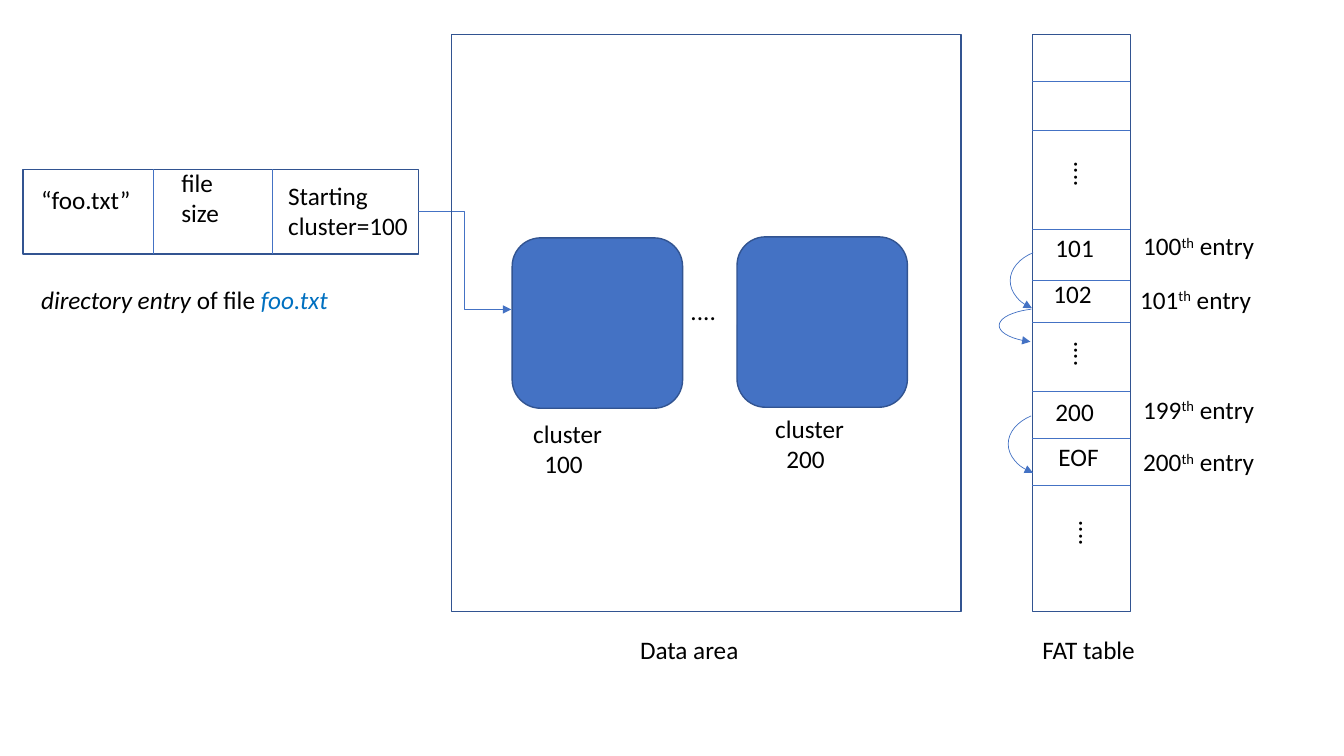
from dataclasses import dataclass

from lxml.etree import SubElement
from pptx import Presentation
from pptx.dml.color import RGBColor
from pptx.enum.shapes import MSO_CONNECTOR as Link, MSO_SHAPE as Preset
from pptx.oxml.ns import qn
from pptx.util import Inches, Pt

BLUE, EDGE, BLACK, LINK_BLUE = "4472C4", "325491", "000000", "0070C0"
THIN, THICK = 0.5, 1.0


@dataclass(frozen=True)
class Piece:
    """A stretch of text in one format."""
    text: str
    color: str = BLACK
    italic: bool = False
    raised: bool = False


@dataclass(frozen=True)
class Label:
    """A text box; each line is a list of pieces."""
    left: float
    top: float
    width: float
    height: float
    lines: list[list[Piece]]
    rotation: float = 0
    last_indent: float = 0


@dataclass(frozen=True)
class Arc:
    """A chain arrow; angles in degrees, with its head at the start."""
    left: float
    top: float
    width: float
    height: float
    start: float
    end: float = 228.92


def rgb(value: str) -> RGBColor:
    """Turn a hex string into a colour."""
    return RGBColor.from_string(value)


def style_line(line, color: str, width: float, arrow: str = "") -> None:
    """Set a line's colour and width, and an arrowhead if one is named."""
    line.color.rgb = rgb(color)
    line.width = Pt(width)
    if arrow:
        SubElement(line._get_or_add_ln(), qn(f"a:{arrow}"), type="triangle")


def add_outline(page, preset, left: float, top: float, width: float, height: float,
                fill: str = "", color: str = EDGE, weight: float = THICK, arrow: str = ""):
    """Draw a preset shape, without fill unless one is given."""
    shape = page.shapes.add_shape(preset, Inches(left), Inches(top), Inches(width), Inches(height))
    shape.shadow.inherit = False
    if fill:
        shape.fill.solid()
        shape.fill.fore_color.rgb = rgb(fill)
    else:
        shape.fill.background()
    style_line(shape.line, color, weight, arrow)
    return shape


def add_link(page, x1: float, y1: float, x2: float, y2: float,
             kind=Link.STRAIGHT, arrow: str = "") -> None:
    """Draw a thin connector."""
    link = page.shapes.add_connector(kind, Inches(x1), Inches(y1), Inches(x2), Inches(y2))
    style_line(link.line, BLUE, THIN, arrow)
    SubElement(link._element.spPr, qn("a:effectLst"))


def add_arc(page, arc: Arc) -> None:
    """Draw a curved arrow between FAT entries."""
    shape = add_outline(page, Preset.ARC, arc.left, arc.top, arc.width, arc.height,
                        color=BLUE, weight=THIN, arrow="headEnd")
    for index, angle in enumerate((arc.start, arc.end)):
        shape.adjustments[index] = angle * 0.6


def add_label(page, label: Label) -> None:
    """Write a label, run by run."""
    box = page.shapes.add_textbox(Inches(label.left), Inches(label.top),
                                  Inches(label.width), Inches(label.height))
    box.rotation = label.rotation
    frame = box.text_frame
    frame.word_wrap = True
    frame.margin_right = 0
    for number, pieces in enumerate(label.lines):
        para = frame.add_paragraph() if number else frame.paragraphs[0]
        for piece in pieces:
            span = para.add_run()
            span.text = piece.text
            span.font.name = "Calibri"
            span.font.size = Pt(18)
            span.font.italic = piece.italic
            span.font.color.rgb = rgb(piece.color)
            if piece.raised:
                span._r.get_or_add_rPr().set("baseline", "30000")
    if label.last_indent:
        para._p.get_or_add_pPr().set("marL", str(Inches(label.last_indent)))


def plain(left: float, top: float, width: float, height: float, *lines: str,
          rotation: float = 0, last_indent: float = 0) -> Label:
    """Make a label of plain black lines."""
    return Label(left, top, width, height, [[Piece(line)] for line in lines],
                 rotation, last_indent)


def entry_name(left: float, top: float, number: int) -> Label:
    """Make the ordinal beside a FAT entry."""
    return Label(left, top, 1.86, 0.58,
                 [[Piece(str(number)), Piece("th", raised=True), Piece(" entry")]])


deck = Presentation()
deck.slide_width, deck.slide_height = Inches(13.33), Inches(7.5)
page = deck.slides.add_slide(deck.slide_layouts[6])

# Directory entry
entry_left, entry_top, entry_width, entry_height = 0.23, 1.68, 3.92, 0.84
add_outline(page, Preset.RECTANGLE, entry_left, entry_top, entry_width, entry_height)
for x in (1.52, 2.7):
    add_link(page, x, entry_top, x, entry_top + entry_height)

# FAT table
fat_left, fat_width, area_top, area_height = 10.24, 0.97, 0.34, 5.73
add_outline(page, Preset.RECTANGLE, fat_left, area_top, fat_width, area_height)
for y in (0.81, 1.29, 2.28, 2.78, 3.2, 3.88, 4.35, 4.82):
    add_link(page, fat_left, y, fat_left + fat_width, y)

# Data area
add_link(page, entry_left + entry_width, 2.1, 5.07, 3.07, Link.ELBOW, "tailEnd")
for left, top in ((5.08, 2.36), (7.31, 2.35)):
    add_outline(page, Preset.ROUNDED_RECTANGLE, left, top, 1.69, 1.69, BLUE)
add_outline(page, Preset.RECTANGLE, 4.48, area_top, 5.05, area_height)

for arc in (Arc(10.02, 2.46, 0.94, 0.65, 132.94),
            Arc(9.91, 3.06, 0.92, 0.34, 132.94),
            Arc(10, 4.08, 0.94, 0.65, 128.14)):
    add_arc(page, arc)

labels = [
    plain(0.31, 1.78, 1.09, 0.4, "“foo.txt”"),
    plain(1.7, 1.61, 0.81, 1.01, "file", "size"),
    plain(2.76, 1.74, 1.4, 0.71, "Starting", "cluster=100"),
    Label(0.31, 2.77, 3.07, 0.4, [[Piece("directory entry", italic=True), Piece(" of file "),
                                   Piece("foo.txt", LINK_BLUE, italic=True)]]),
    plain(5.19, 4.1, 1.25, 1.01, "cluster", "100", last_indent=0.11),
    plain(7.59, 4.05, 1.25, 1.01, "cluster", "200", last_indent=0.11),
    plain(6.75, 2.88, 0.64, 0.58, "...."),
    plain(6.25, 6.24, 1.66, 0.58, "Data area"),
    plain(10.24, 6.24, 1.13, 0.4, "FAT table"),
    plain(10.43, 1.63, 0.65, 0.4, "....", rotation=90),
    plain(10.35, 3.33, 0.65, 0.56, "....", rotation=90),
    plain(10.4, 5.11, 0.65, 0.56, "....", rotation=90),
    plain(10.37, 2.26, 0.82, 0.58, "101"),
    plain(10.35, 2.71, 0.82, 0.58, "102"),
    plain(10.37, 3.88, 0.82, 0.58, "200"),
    plain(10.4, 4.33, 0.84, 0.58, "EOF"),
    entry_name(11.24, 2.24, 100),
    entry_name(11.21, 2.77, 101),
    entry_name(11.24, 3.86, 199),
    entry_name(11.24, 4.38, 200),
]
for label in labels:
    add_label(page, label)

deck.save("out.pptx")
